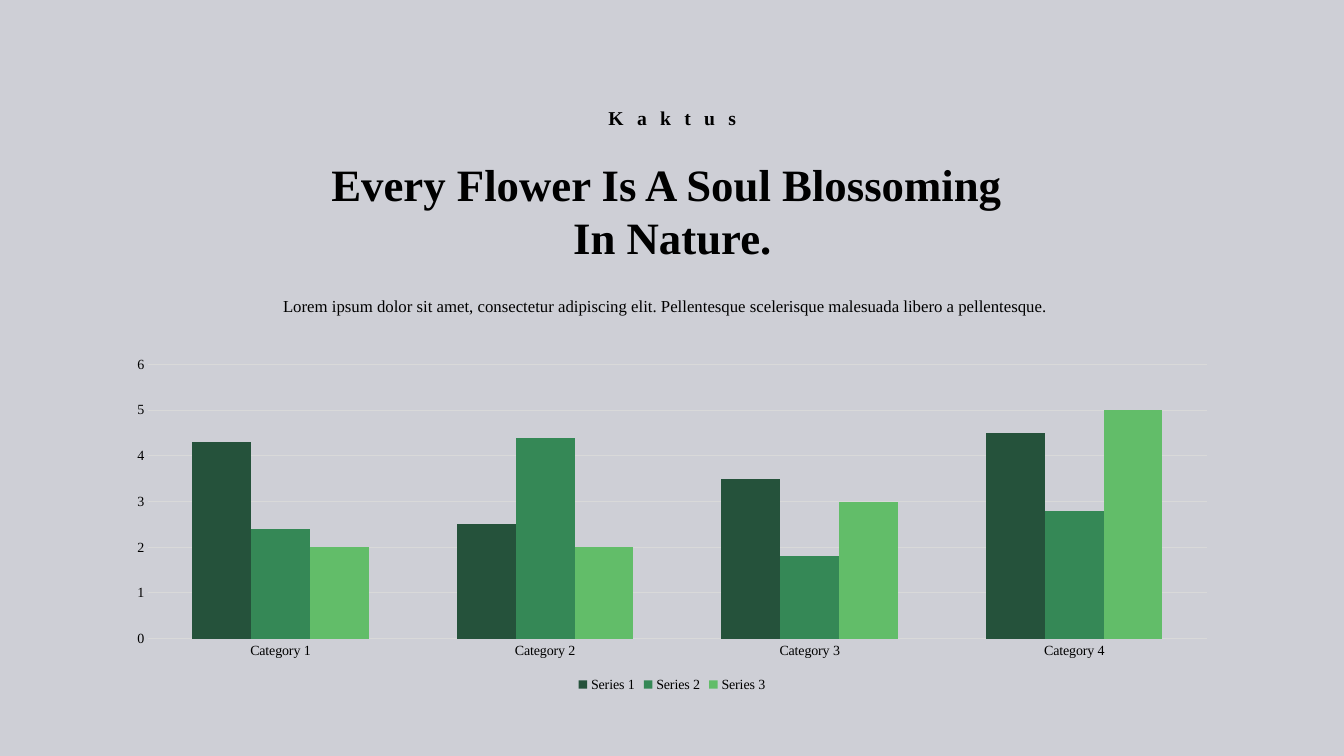
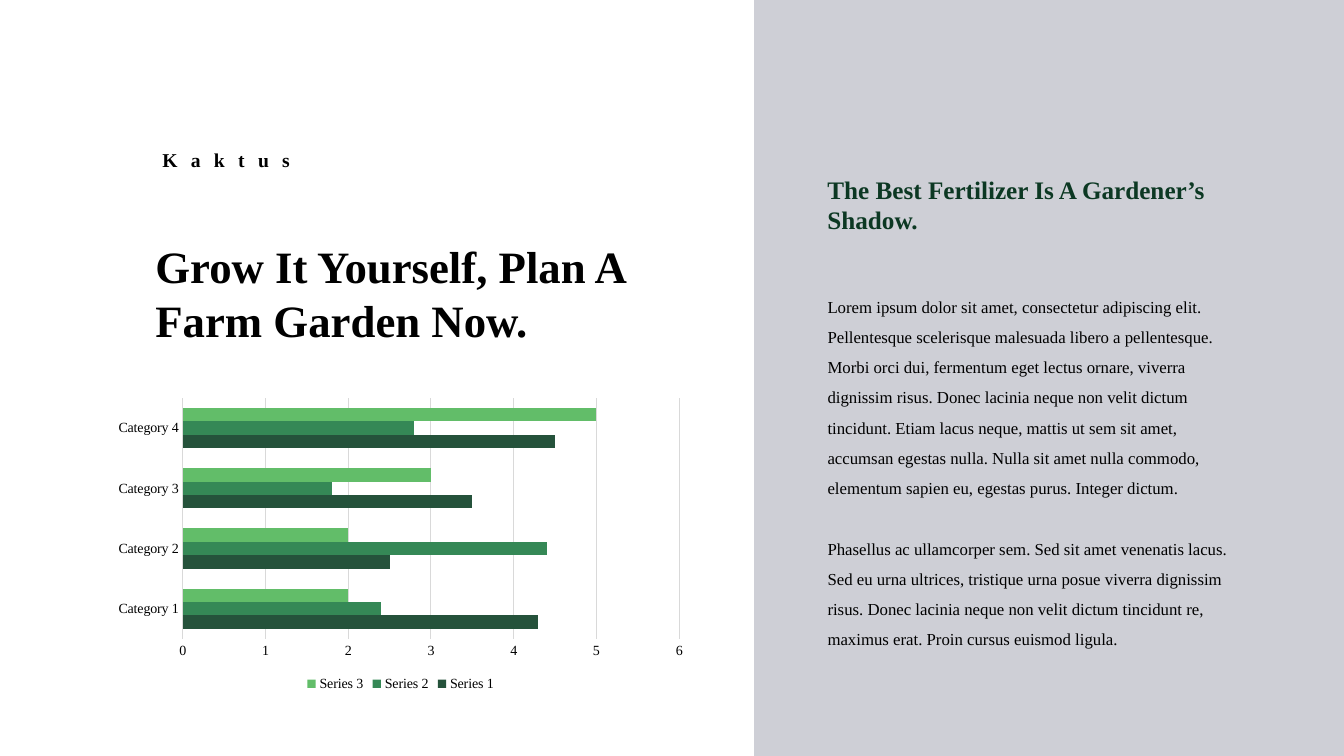
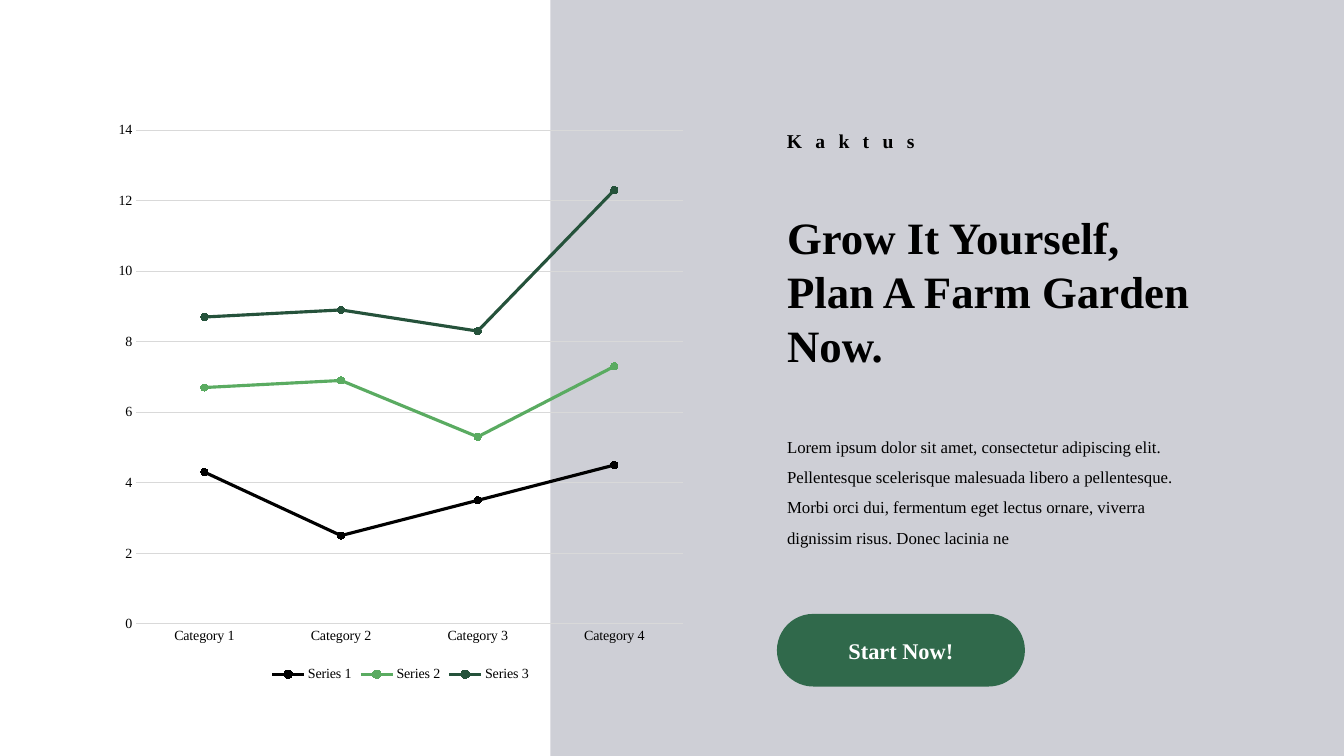
from dataclasses import dataclass

from lxml import etree
from pptx import Presentation
from pptx.chart.data import CategoryChartData
from pptx.dml.color import RGBColor
from pptx.enum.chart import XL_CHART_TYPE, XL_LEGEND_POSITION, XL_MARKER_STYLE, XL_TICK_MARK
from pptx.enum.shapes import MSO_SHAPE
from pptx.enum.text import MSO_ANCHOR, MSO_AUTO_SIZE, PP_ALIGN
from pptx.oxml.ns import qn
from pptx.util import Cm, Pt

COLUMNS = XL_CHART_TYPE.COLUMN_CLUSTERED
BARS = XL_CHART_TYPE.BAR_CLUSTERED
LINES = XL_CHART_TYPE.LINE_MARKERS_STACKED
LEFT, CENTER = PP_ALIGN.LEFT, PP_ALIGN.CENTER
TITLE_AND_CONTENT = 1


@dataclass(frozen=True)
class Theme:
    font: str = "Times New Roman"
    background: str = "CECFD6"
    panel: str = "FFFFFF"
    ink: str = "000000"
    heading: str = "0C3823"
    button: str = "30694B"
    button_label: str = "FFFFFF"
    grid: str = "D9D9D9"
    bar_series: tuple = ("25523B", "358856", "62BD69")
    line_series: tuple = ("000000", "5AAB61", "25523B")
    title_size: int = 32
    heading_size: int = 18
    button_size: int = 16
    tag_size: int = 14
    body_size: int = 12
    chart_size: int = 10
    tag_tracking: int = 300
    body_spacing: float = 1.5
    body_gap: float = 21.6


THEME = Theme()
WIDTH, HEIGHT = 33.87, 19.05

TAG = "K a k t u s"
GROW = "Grow It Yourself, Plan A Farm Garden Now."
LOREM = ("Lorem ipsum dolor sit amet, consectetur adipiscing elit. "
         "Pellentesque scelerisque malesuada libero a pellentesque. ")
MORBI = "Morbi orci dui, fermentum eget lectus ornare, viverra dignissim risus. Donec lacinia ne"

CATEGORIES = ("Category 1", "Category 2", "Category 3", "Category 4")
SERIES = {
    "Series 1": (4.3, 2.5, 3.5, 4.5),
    "Series 2": (2.4, 4.4, 1.8, 2.8),
    "Series 3": (2, 2, 3, 5),
}

# Boxes are left, top, width, height in centimetres.
SLIDES = [
    {
        "align": CENTER,
        "tag": (10.8, 2.54, 12.29, 0.86),
        "title": (["Every Flower Is A Soul Blossoming ", "In Nature."],
                  (4.5, 3.81, 24.89, 3)),
        "body": ([LOREM], (4.29, 7.06, 25.07, 0.94)),
        "chart": (COLUMNS, (2.9, 8.81, 28.07, 8.74)),
    },
    {
        "align": LEFT,
        "panel_width": 19,
        "tag": (3.84, 3.61, 13.67, 0.86),
        "title": ([GROW], (3.66, 5.89, 14.5, 3)),
        "heading": ("The Best Fertilizer Is A Gardener’s Shadow.",
                    (20.6, 4.27, 10.54, 1.8)),
        "body": ([
            LOREM + MORBI + "que non velit dictum tincidunt. Etiam lacus neque, mattis ut sem "
            "sit amet, accumsan egestas nulla. Nulla sit amet nulla commodo, elementum sapien eu, "
            "egestas purus. Integer dictum.",
            "Phasellus ac ullamcorper sem. Sed sit amet venenatis lacus. Sed eu urna ultrices, "
            "tristique urna posue viverra dignissim risus. Donec lacinia neque non velit dictum "
            "tincidunt re, maximus erat. Proin cursus euismod ligula.",
        ], (20.6, 7.09, 11.1, 9.42)),
        "chart": (BARS, (2.69, 9.88, 14.81, 7.65)),
    },
    {
        "align": LEFT,
        "panel_width": 13.87,
        "tag": (19.58, 3.12, 11.1, 0.86),
        "title": ([GROW], (19.58, 5.16, 10.87, 4.5)),
        "body": ([LOREM + MORBI], (19.58, 10.62, 10.87, 3.25)),
        "chart": (LINES, (2.69, 2.79, 14.81, 14.5)),
        "button": ("Start Now!", (19.58, 15.47, 6.25, 1.83)),
    },
]


def rgb(color):
    return RGBColor.from_string(color)


def lengths(box):
    return [Cm(value) for value in box]


def place(shape, box):
    shape.left, shape.top, shape.width, shape.height = lengths(box)


def set_font(font, size, color=THEME.ink, bold=False):
    font.name = THEME.font
    font.size = Pt(size)
    font.bold = bold
    font.color.rgb = rgb(color)


def write(shape, lines, size, align=LEFT, color=THEME.ink, bold=True,
          anchor=MSO_ANCHOR.TOP, spacing=1.0, gap=0):
    """Fill a shape with unbulleted paragraphs; gap is the points between them."""
    frame = shape.text_frame
    frame.word_wrap = True
    frame.auto_size = MSO_AUTO_SIZE.NONE
    frame.vertical_anchor = anchor
    for number, line in enumerate(lines):
        paragraph = frame.add_paragraph() if number else frame.paragraphs[0]
        paragraph.text = line
        properties = paragraph._p.get_or_add_pPr()
        properties.set("marL", "0")
        properties.set("indent", "0")
        etree.SubElement(properties, qn("a:buNone"))
        paragraph.alignment = align
        paragraph.line_spacing = spacing
        paragraph.space_before = Pt(gap if number else 0)
        set_font(paragraph.font, size, color, bold)


def add_block(slide, preset, box, color):
    block = slide.shapes.add_shape(preset, *lengths(box))
    block.shadow.inherit = False
    block.fill.solid()
    block.fill.fore_color.rgb = rgb(color)
    block.line.fill.background()
    return block


def add_panel(slide, width):
    panel = add_block(slide, MSO_SHAPE.RECTANGLE, (0, 0, width, HEIGHT), THEME.panel)
    slide.shapes._spTree.insert(2, panel._element)  # behind the placeholders


def add_tag(slide, box, align):
    tag = slide.shapes.add_textbox(*lengths(box))
    write(tag, [TAG], THEME.tag_size, align)
    run = tag.text_frame.paragraphs[0].runs[0]
    run._r.get_or_add_rPr().set("spc", str(THEME.tag_tracking))


def add_heading(slide, text, box):
    heading = slide.shapes.add_textbox(*lengths(box))
    write(heading, [text], THEME.heading_size, color=THEME.heading)


def add_button(slide, label, box):
    button = add_block(slide, MSO_SHAPE.ROUNDED_RECTANGLE, box, THEME.button)
    button.adjustments[0] = 0.5
    write(button, [label], THEME.button_size, CENTER, THEME.button_label,
          anchor=MSO_ANCHOR.MIDDLE)


def style_axes(chart):
    category_axis, value_axis = chart.category_axis, chart.value_axis
    for axis in (category_axis, value_axis):
        axis.major_tick_mark = axis.minor_tick_mark = XL_TICK_MARK.NONE
        set_font(axis.tick_labels.font, THEME.chart_size)
    category_axis.has_major_gridlines = False
    value_axis.has_major_gridlines = True
    value_axis.format.line.fill.background()
    for line in (category_axis.format.line, value_axis.major_gridlines.format.line):
        line.color.rgb = rgb(THEME.grid)
        line.width = Pt(0.75)


def style_line(series, color):
    series.smooth = False
    series.format.line.color.rgb = rgb(color)
    series.format.line.width = Pt(2.25)
    marker = series.marker
    marker.style = XL_MARKER_STYLE.CIRCLE
    marker.size = 5
    marker.format.fill.solid()
    marker.format.fill.fore_color.rgb = rgb(color)
    marker.format.line.color.rgb = rgb(color)


def style_bar(series, color):
    series.format.fill.solid()
    series.format.fill.fore_color.rgb = rgb(color)


def add_series_chart(slide, kind, box):
    data = CategoryChartData()
    data.categories = CATEGORIES
    for name, values in SERIES.items():
        data.add_series(name, values)
    chart = slide.shapes.add_chart(kind, *lengths(box), data).chart
    set_font(chart.font, THEME.chart_size)
    chart.has_title = False
    chart.has_legend = True
    chart.legend.position = XL_LEGEND_POSITION.BOTTOM
    chart.legend.include_in_layout = False
    set_font(chart.legend.font, THEME.chart_size)
    style_axes(chart)

    plot = chart.plots[0]
    plot.vary_by_categories = False
    if kind == LINES:
        style, colors = style_line, THEME.line_series
    else:
        style, colors = style_bar, THEME.bar_series
        plot.gap_width, plot.overlap = 150, 0
    for series, color in zip(plot.series, colors):
        style(series, color)


def build_slide(deck, content):
    slide = deck.slides.add_slide(deck.slide_layouts[TITLE_AND_CONTENT])
    align = content["align"]
    if "panel_width" in content:
        add_panel(slide, content["panel_width"])
    add_series_chart(slide, *content["chart"])

    title, body = slide.shapes.title, slide.placeholders[1]
    title_lines, title_box = content["title"]
    place(title, title_box)
    write(title, title_lines, THEME.title_size, align)
    body_lines, body_box = content["body"]
    place(body, body_box)
    write(body, body_lines, THEME.body_size, align, bold=False,
          spacing=THEME.body_spacing, gap=THEME.body_gap)

    add_tag(slide, content["tag"], align)
    if "heading" in content:
        add_heading(slide, *content["heading"])
    if "button" in content:
        add_button(slide, *content["button"])


def main():
    deck = Presentation()
    deck.slide_width, deck.slide_height = Cm(WIDTH), Cm(HEIGHT)
    background = deck.slide_master.background.fill
    background.solid()
    background.fore_color.rgb = rgb(THEME.background)
    for content in SLIDES:
        build_slide(deck, content)
    deck.save("out.pptx")


if __name__ == "__main__":
    main()
